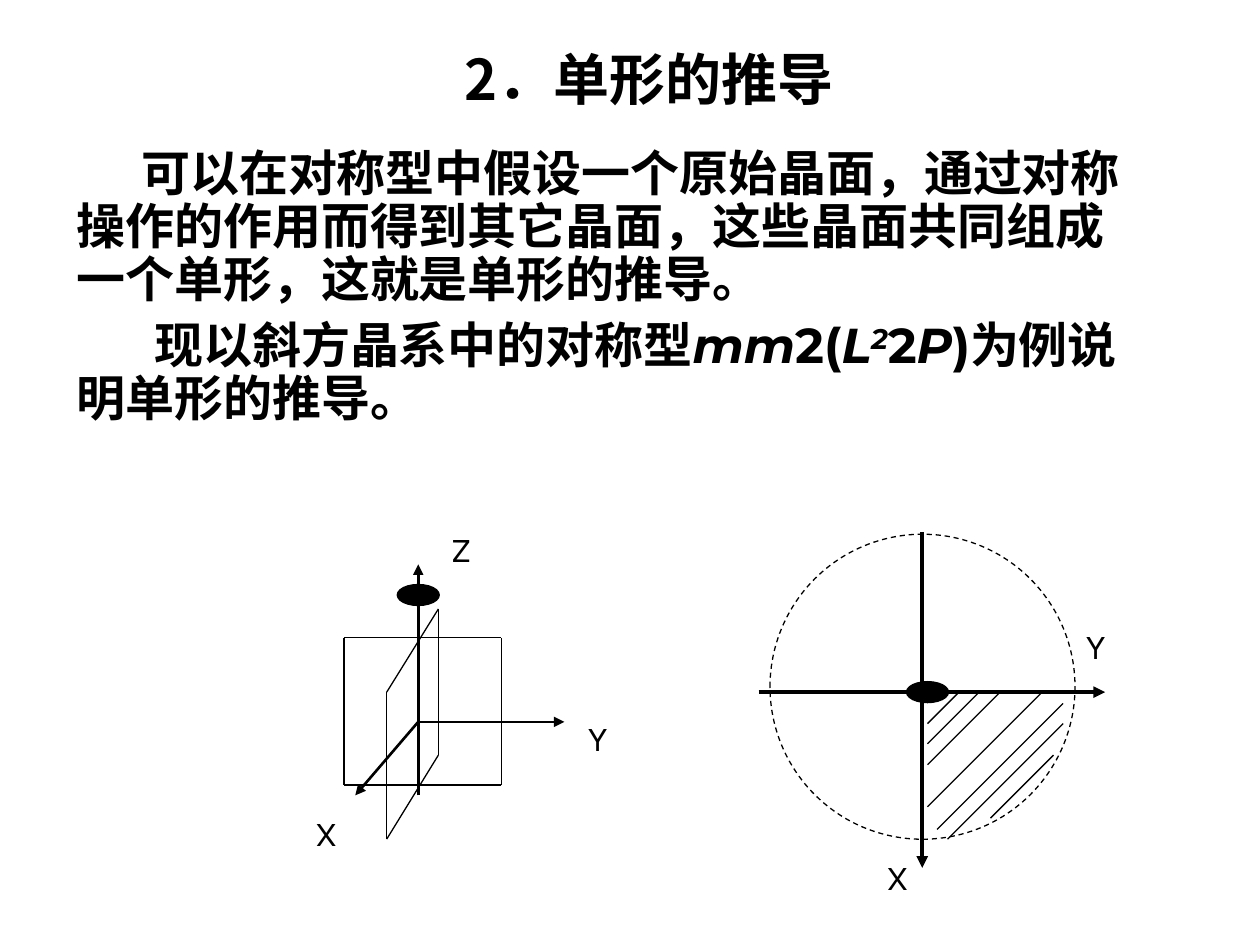
from dataclasses import dataclass
from lxml import etree
from pptx import Presentation
from pptx.dml.color import RGBColor
from pptx.enum.dml import MSO_LINE
from pptx.enum.shapes import MSO_CONNECTOR, MSO_SHAPE
from pptx.enum.text import MSO_ANCHOR, MSO_AUTO_SIZE, PP_ALIGN
from pptx.oxml.ns import qn
from pptx.util import Pt

STRAIGHT = MSO_CONNECTOR.STRAIGHT
OVAL = MSO_SHAPE.OVAL
DASH = MSO_LINE.DASH
BOTTOM = MSO_ANCHOR.BOTTOM
NO_FIT = MSO_AUTO_SIZE.NONE
LEFT, CENTER = PP_ALIGN.LEFT, PP_ALIGN.CENTER


@dataclass
class Theme:
    ink = RGBColor(0, 0, 0)
    paper = RGBColor(255, 255, 255)
    title_font = "Noto Sans CJK SC"
    body_font = "Montserrat"
    label_font = "Karla"
    title_size = Pt(32)
    body_size = Pt(28)
    label_size = Pt(20)
    thin = Pt(0.75)
    medium = Pt(1.5)
    thick = Pt(2.25)


theme = Theme()


def style_span(span, name, size, bold=True, italic=False):
    font = span.font
    font.name, font.size = name, size
    font.bold, font.italic = bold, italic
    font.color.rgb = theme.ink
    east_asian = etree.SubElement(span._r.get_or_add_rPr(), qn("a:ea"))
    east_asian.set("typeface", name)


def draw_line(shapes, start, end, width=theme.thin, arrow=False):
    line = shapes.add_connector(STRAIGHT, *map(Pt, start + end))
    line.line.color.rgb = theme.ink
    line.line.width = width
    if arrow:
        outline = line.line._get_or_add_ln()
        etree.SubElement(outline, qn("a:tailEnd")).set("type", "triangle")
    etree.SubElement(line._element.spPr, qn("a:effectLst"))


deck = Presentation()
deck.slide_width, deck.slide_height = Pt(720), Pt(540)
page = deck.slides.add_slide(deck.slide_layouts[0])

title = page.shapes.title
title.left, title.top, title.width, title.height = map(Pt, (65, 20, 612, 48))
title.text_frame.text = "2．单形的推导"
title.text_frame.vertical_anchor = BOTTOM
title.text_frame.auto_size = NO_FIT
heading = title.text_frame.paragraphs[0]
heading.alignment = CENTER
heading.line_spacing = 0.9
style_span(heading.runs[0], theme.title_font, theme.title_size)

body = page.placeholders[1]
body.left, body.top, body.width, body.height = map(Pt, (36.5, 71.5, 613, 215))
frame = body.text_frame
frame.auto_size = NO_FIT
frame.margin_top = Pt(14)

body_paragraphs = [
    (37, 0, [
        ("可以在对称型中假设一个原始晶面，通过对称操作的作用而得到其它晶面，"
         "这些晶面共同组成一个单形，这就是单形的推导", ""),
        ("。", "stop"),
    ]),
    (44.5, 7.5, [
        ("现以斜方晶系中的对称型", ""), ("mm", "italic"), ("2(", ""),
        ("L", "italic"), ("2", "superscript"), ("2", ""), ("P", "italic"),
        (")为例说明单形的推导。", ""),
    ]),
]
for number, (indent, space, spans) in enumerate(body_paragraphs):
    para = frame.add_paragraph() if number else frame.paragraphs[0]
    para.alignment = LEFT
    para.line_spacing = 0.9
    para.space_before = Pt(space)
    properties = para._p.get_or_add_pPr()
    properties.set("marL", "0")
    properties.set("indent", str(Pt(indent)))
    for text, kind in spans:
        span = para.add_run()
        span.text = text
        font_name = theme.title_font if kind == "stop" else theme.body_font
        style_span(span, font_name, theme.body_size,
                   italic=kind in ("italic", "superscript"))
        if kind == "superscript":
            span._r.get_or_add_rPr().set("baseline", "30000")

crystal = page.shapes.add_group_shape().shapes
stereogram = page.shapes

circle = stereogram.add_shape(OVAL, *map(Pt, (440, 305.3, 174.3, 174.3)))
circle.shadow.inherit = False
circle.fill.solid()
circle.fill.fore_color.rgb = theme.paper
circle.line.color.rgb = theme.ink
circle.line.width = theme.thin
circle.line.dash_style = DASH

axes = [
    (crystal, (239, 454.5), (239, 322.5), theme.medium),
    (crystal, (239, 412.5), (322.5, 412.5), theme.thin),
    (crystal, (239, 412.5), (203, 454.5), theme.medium),
    (stereogram, (433.5, 395.5), (631.5, 395.5), theme.thick),
    (stereogram, (527, 304), (527, 496), theme.thick),
]
for shapes, start, end, width in axes:
    draw_line(shapes, start, end, width, arrow=True)

mirror_planes = [
    [(196.5, 364.5), (286.5, 364.5), (286.5, 448.5), (196.5, 448.5)],
    [(250.5, 348), (221, 395.5), (221, 479.5), (250.5, 431.5)],
]
for corners in mirror_planes:
    for start, end in zip(corners, corners[1:] + corners[:1]):
        draw_line(crystal, start, end)

hatching = [
    (548, 395.5, 18), (559.5, 395.5, 29.5), (571.5, 395.5, 41.5),
    (595.5, 395.5, 65.5), (607.5, 402, 72), (607.5, 413.5, 66),
    (602, 431.5, 36),
]
for x, y, reach in hatching:
    draw_line(stereogram, (x, y), (x - reach, y + reach))

for shapes, x, y in [(crystal, 227, 334), (stereogram, 518, 389.5)]:
    twofold = shapes.add_shape(OVAL, Pt(x), Pt(y), Pt(24), Pt(12))
    twofold.shadow.inherit = False
    twofold.fill.solid()
    twofold.fill.fore_color.rgb = theme.ink
    twofold.line.color.rgb = theme.ink
    twofold.line.width = theme.thin

axis_labels = [
    (crystal, "Z", 250.5, 298, 30), (crystal, "Y", 329, 406, 30),
    (crystal, "X", 173, 460, 30), (stereogram, "Y", 613.5, 353.5, 18),
    (stereogram, "X", 499.5, 485.5, 36),
]
for shapes, text, x, y, width in axis_labels:
    label = shapes.add_textbox(Pt(x), Pt(y), Pt(width), Pt(31.5))
    label.text_frame.word_wrap = True
    label.text_frame.text = text
    style_span(label.text_frame.paragraphs[0].runs[0],
               theme.label_font, theme.label_size, bold=False)

deck.save("out.pptx")
